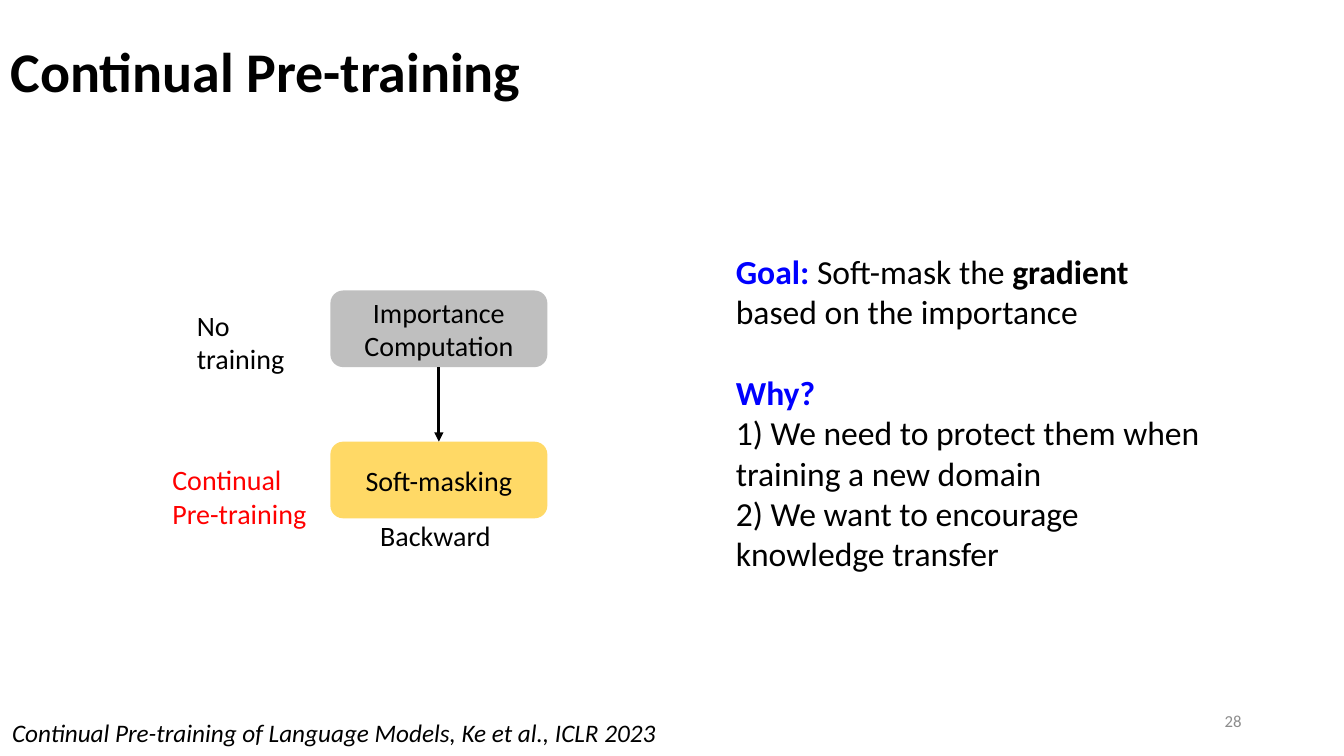
from dataclasses import dataclass

from lxml.etree import SubElement
from pptx import Presentation
from pptx.dml.color import RGBColor
from pptx.enum.shapes import MSO_CONNECTOR as Connector, MSO_SHAPE as Shape
from pptx.enum.text import MSO_ANCHOR as Anchor, PP_ALIGN as Align
from pptx.oxml.ns import qn
from pptx.util import Pt


@dataclass(frozen=True)
class Theme:
    font: str = "Calibri"
    black: str = "000000"
    blue: str = "0000FF"
    red: str = "FF0000"
    grey: str = "8C8C8C"
    silver: str = "BFBFBF"
    gold: str = "FFD966"
    title: int = 40
    body: int = 24
    label: int = 20
    citation: int = 18
    number: int = 12


THEME = Theme()
STAGE_LEFT, STAGE_TOP, STAGE_PITCH = 236, 207.5, 108
STAGE_WIDTH, STAGE_HEIGHT = 155, 54.75
BOLD = {"bold": True}
HEADING = {"bold": True, "color": THEME.blue}


def apply(target, values):
    for name, value in values.items():
        setattr(target, name, value)


def write(shape, paragraphs, size, anchor=Anchor.TOP, **layout):
    """Fill a shape with paragraphs, each a list of (text, format) spans."""
    frame = shape.text_frame
    apply(frame, {"word_wrap": True, "vertical_anchor": anchor})
    for index, spans in enumerate(paragraphs):
        para = frame.add_paragraph() if index else frame.paragraphs[0]
        apply(para, layout)
        for text, style in spans:
            span = para.add_run()
            span.text = text
            font = {"name": THEME.font, "size": Pt(size), **style}
            span.font.color.rgb = RGBColor.from_string(font.pop("color", THEME.black))
            apply(span.font, font)
    return frame


def add_text(page, place, paragraphs, size, **options):
    box = page.shapes.add_textbox(*map(Pt, place))
    return write(box, paragraphs, size, **options)


def add_stage(page, row, name, fill):
    place = (STAGE_LEFT, STAGE_TOP + row * STAGE_PITCH, STAGE_WIDTH, STAGE_HEIGHT)
    stage = page.shapes.add_shape(Shape.ROUNDED_RECTANGLE, *map(Pt, place))
    stage.shadow.inherit = False
    stage.fill.solid()
    stage.fill.fore_color.rgb = RGBColor.from_string(fill)
    stage.line.fill.background()
    write(stage, [[(name, {})]], THEME.label, Anchor.MIDDLE, alignment=Align.CENTER)
    return stage


def add_arrow(page, source, target):
    """Join the bottom of one stage to the top of the next."""
    arrow = page.shapes.add_connector(Connector.STRAIGHT, 0, 0, 0, 0)
    arrow.begin_connect(source, 2)
    arrow.end_connect(target, 0)
    arrow.line.width = Pt(2.25)
    arrow.line.color.rgb = RGBColor.from_string(THEME.black)
    SubElement(arrow.line._get_or_add_ln(), qn("a:tailEnd"), type="triangle")
    SubElement(arrow._element.spPr, qn("a:effectLst"))


def main():
    deck = Presentation()
    apply(deck, {"slide_width": Pt(960), "slide_height": Pt(540)})
    page = deck.slides.add_slide(deck.slide_layouts[6])

    add_text(page, (0.5, 0.5, 828, 104.5), [[("Continual Pre-training", BOLD)]],
             THEME.title, anchor=Anchor.MIDDLE, line_spacing=0.9)

    importance = add_stage(page, 0, "Importance Computation", THEME.silver)
    masking = add_stage(page, 1, "Soft-masking", THEME.gold)
    add_arrow(page, importance, masking)

    for text, color, place in (
        ("No training", THEME.black, (133.5, 216.5, 93.5, 55.5)),
        ("Continual Pre-training", THEME.red, (116, 327, 129, 55.5)),
        ("Backward", THEME.black, (264.5, 366.5, 98.5, 31.5)),
    ):
        add_text(page, place, [[(text, {"color": color})]], THEME.label)

    reasons = add_text(page, (518.5, 175.5, 358, 240), [
        [("Goal: ", HEADING), ("Soft-mask the ", {}), ("gradient", BOLD),
         (" based on the importance", {})],
        [("Why?", HEADING)],
        [("1) We need to protect them when training a new domain", {})],
        [("2) We want to encourage knowledge transfer", {})],
    ], THEME.body)
    reasons.paragraphs[1].space_before = Pt(29)

    add_text(page, (1.5, 508.5, 707, 29),
             [[("Continual Pre-training of Language Models, Ke et al., ICLR 2023",
                {"italic": True})]], THEME.citation)
    add_text(page, (678, 500.5, 216, 28.75), [[("28", {"color": THEME.grey})]],
             THEME.number, anchor=Anchor.MIDDLE, alignment=Align.RIGHT)

    deck.save("out.pptx")


if __name__ == "__main__":
    main()
